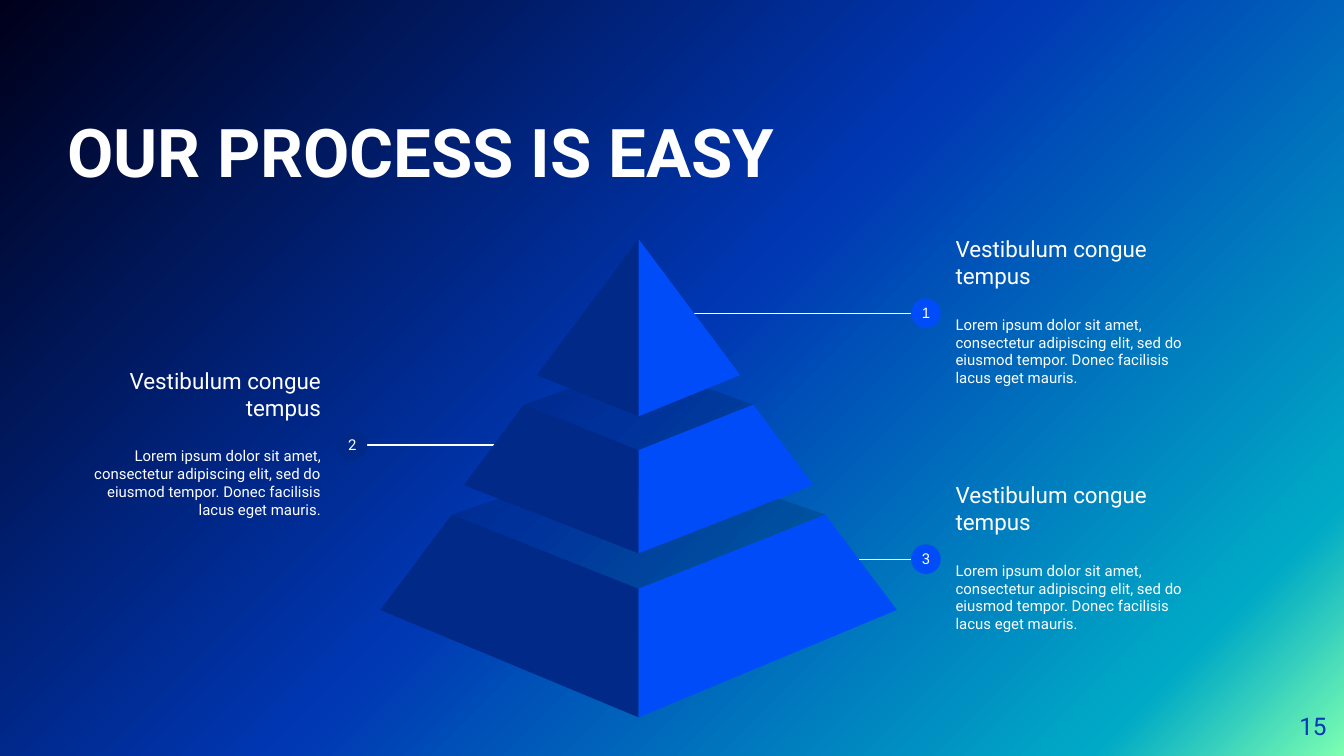
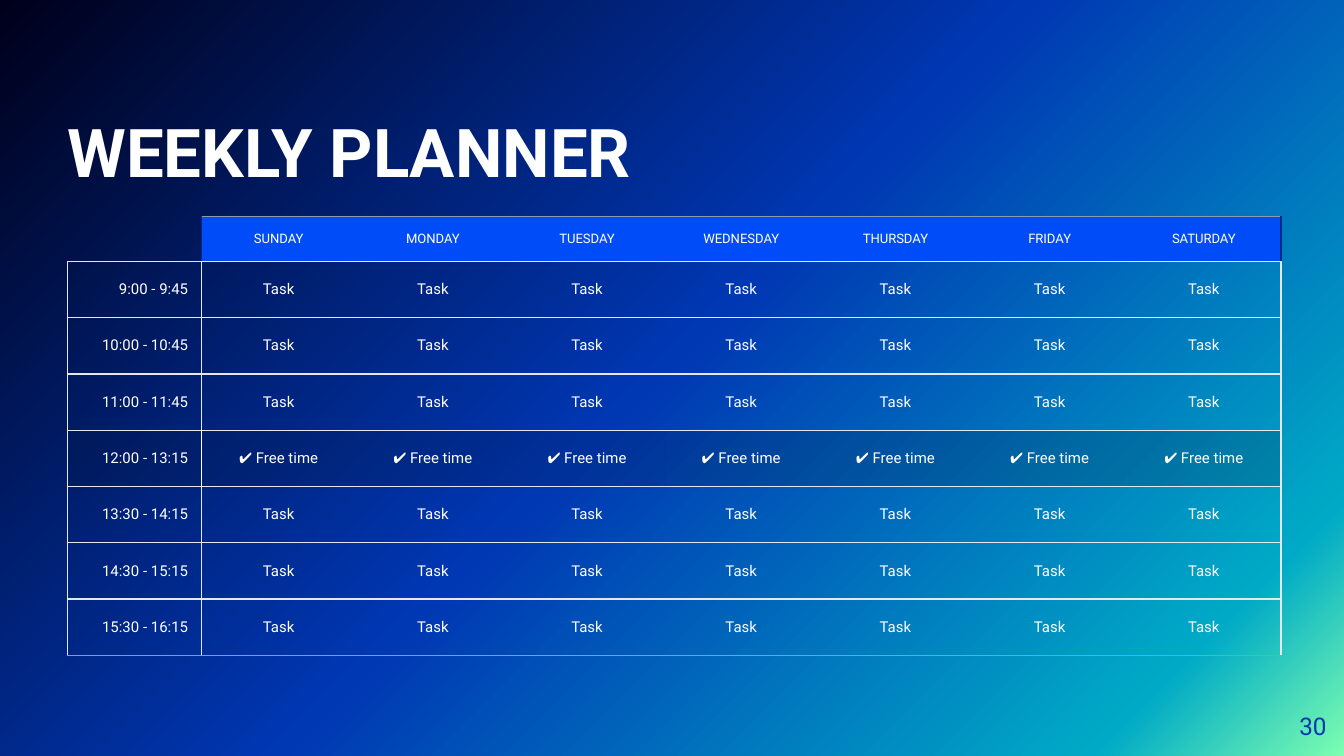
from lxml import etree
from pptx import Presentation
from pptx.dml.color import RGBColor
from pptx.enum.shapes import MSO_CONNECTOR, MSO_SHAPE
from pptx.enum.text import MSO_ANCHOR, MSO_AUTO_SIZE, PP_ALIGN
from pptx.oxml.ns import qn
from pptx.util import Cm, Pt

LEFT, CENTER, RIGHT = PP_ALIGN.LEFT, PP_ALIGN.CENTER, PP_ALIGN.RIGHT
TOP, MIDDLE, BOTTOM = MSO_ANCHOR.TOP, MSO_ANCHOR.MIDDLE, MSO_ANCHOR.BOTTOM
STRAIGHT, OVAL = MSO_CONNECTOR.STRAIGHT, MSO_SHAPE.OVAL

WHITE = RGBColor(0xFF, 0xFF, 0xFF)
PALE = RGBColor(0xE4, 0xE7, 0xEC)
GREY = RGBColor(0x91, 0x99, 0xAA)
BRIGHT = RGBColor(0x00, 0x4C, 0xF8)
ROYAL = RGBColor(0x00, 0x37, 0xB3)
NAVY = RGBColor(0x00, 0x29, 0x88)
INK = RGBColor(0x00, 0x12, 0x30)
MINT = RGBColor(0x7D, 0xFF, 0xB1)
TEAL = RGBColor(0x00, 0xAA, 0xC6)
NIGHT = RGBColor(0x00, 0x00, 0x1A)
BACKDROP = [(0, MINT), (12, TEAL), (51, ROYAL), (100, NIGHT)]
BACKDROP_ANGLE = 225
FONT = "Roboto"
INSET = 0.25
LINE_WIDTH = Pt(0.75)

# Process slide, lengths in cm
STEP_TITLE = "Vestibulum congue tempus"
STEP_TEXT = ("Lorem ipsum dolor sit amet, consectetur adipiscing elit, "
             "sed do eiusmod tempor. Donec facilisis lacus eget mauris.")
STEPS = [
    {"number": "3", "text_left": 17.81, "text_top": 8.61, "align": LEFT, "dot_left": 17.22,
     "line": (16.13, 17.75), "color": BRIGHT, "font": FONT},
    {"number": "2", "text_left": 1.14, "text_top": 6.45, "align": RIGHT, "dot_left": 6.38,
     "line": (9.45, 6.55), "color": NAVY, "font": FONT},
    {"number": "1", "text_left": 17.81, "text_top": 3.96, "align": LEFT, "dot_left": 17.22,
     "line": (13.0, 17.75), "color": BRIGHT, "font": "Arial"},
]
TEXT_WIDTH, TEXT_HEIGHT = 5.18, 3.84
LINE_DROP = 1.96
DOT = 0.56
NUMBER_WIDTH, NUMBER_HEIGHT = 0.69, 0.86

# Each face runs from its shoulder to its front edge, as (distance from axis, y)
AXIS = 12.07
TIERS = [
    {"face": [(3.53, 9.73), (4.88, 11.53), (0, 13.56), (0, 11.13)], "back": 8.51},
    {"face": [(2.17, 7.65), (3.3, 9.17), (0, 10.46), (0, 8.51)], "back": 6.88},
    {"face": [(0, 4.52), (1.92, 7.09), (0, 7.87)], "back": None},
]

# Planner slide
DAYS = ["SUNDAY", "MONDAY", "TUESDAY", "WEDNESDAY", "THURSDAY", "FRIDAY", "SATURDAY"]
PLAN = [
    ("9:00 - 9:45", "Task"),
    ("10:00 - 10:45", "Task"),
    ("11:00 - 11:45", "Task"),
    ("12:00 - 13:15", "✔ Free time"),
    ("13:30 - 14:15", "Task"),
    ("14:30 - 15:15", "Task"),
    ("15:30 - 16:15", "Task"),
]
BREAK_ROW = 4
TABLE_LEFT, TABLE_TOP = 1.27, 4.09
TIME_WIDTH, WEEK_WIDTH = 2.54, 20.4
HEADER_HEIGHT, BODY_HEIGHT = 0.85, 7.45


def write(para, text, size=8, color=WHITE, bold=False, font=FONT, align=LEFT, before=0):
    para.alignment = align
    para.space_before = Pt(before)
    span = para.add_run()
    span.text = text
    span.font.size = Pt(size)
    span.font.name = font
    span.font.bold = bold
    span.font.color.rgb = color


def prepare_frame(frame, anchor=TOP, inset=INSET):
    frame.word_wrap = True
    frame.auto_size = MSO_AUTO_SIZE.NONE
    frame.vertical_anchor = anchor
    frame.margin_left = frame.margin_right = Cm(inset)
    frame.margin_top = frame.margin_bottom = Cm(inset)


def add_text_box(shapes, left, top, width, height, anchor=TOP, inset=INSET):
    box = shapes.add_textbox(Cm(left), Cm(top), Cm(width), Cm(height))
    prepare_frame(box.text_frame, anchor, inset)
    return box.text_frame


def make_translucent(properties):
    """Give the solid fill directly under a properties element its opacity."""
    color = properties.find(qn("a:solidFill"))[0]
    etree.SubElement(color, qn("a:alpha"), val="19000")


def paint(shape, color):
    shape.fill.solid()
    shape.fill.fore_color.rgb = color
    shape.line.fill.background()
    shape.shadow.inherit = False


def set_backdrop(master):
    """Put the shared four-stop gradient on the slide master."""
    master.background.fill.solid()
    properties = master.element.find(".//" + qn("p:bgPr"))
    properties.remove(properties[0])
    gradient = etree.Element(qn("a:gradFill"), rotWithShape="1")
    stops = etree.SubElement(gradient, qn("a:gsLst"))
    for percent, color in BACKDROP:
        stop = etree.SubElement(stops, qn("a:gs"), pos=str(percent * 1000))
        etree.SubElement(stop, qn("a:srgbClr"), val=str(color))
    etree.SubElement(gradient, qn("a:lin"), ang=str(BACKDROP_ANGLE * 60000), scaled="0")
    properties.insert(0, gradient)


def add_page(deck, title, number):
    page = deck.slides.add_slide(deck.slide_layouts[5])
    heading = page.shapes.title
    heading.left, heading.top = Cm(1.27), Cm(1.22)
    heading.width, heading.height = Cm(16.74), Cm(2.39)
    prepare_frame(heading.text_frame, BOTTOM, 0)
    write(heading.text_frame.paragraphs[0], title, size=36, bold=True)
    frame = add_text_box(page.shapes, 23.55, 13.18, 1.52, 1.09, MIDDLE, 0)
    write(frame.paragraphs[0], number, size=13, color=ROYAL, align=RIGHT)
    return page


def add_step(page, step):
    shapes = page.shapes.add_group_shape().shapes
    line_y = step["text_top"] + LINE_DROP
    start, end = step["line"]
    line = shapes.add_connector(STRAIGHT, Cm(start), Cm(line_y), Cm(end), Cm(line_y))
    line.line.color.rgb = WHITE
    line.line.width = LINE_WIDTH
    etree.SubElement(line.element.spPr, qn("a:effectLst"))

    frame = add_text_box(shapes, step["text_left"], step["text_top"],
                         TEXT_WIDTH, TEXT_HEIGHT, MIDDLE)
    write(frame.paragraphs[0], STEP_TITLE, size=12, align=step["align"])
    write(frame.add_paragraph(), STEP_TEXT, align=step["align"], before=14)

    dot_left, dot_top = step["dot_left"], line_y - DOT / 2
    dot = shapes.add_shape(OVAL, Cm(dot_left), Cm(dot_top), Cm(DOT), Cm(DOT))
    paint(dot, step["color"])
    frame = add_text_box(shapes, dot_left + (DOT - NUMBER_WIDTH) / 2,
                         line_y - NUMBER_HEIGHT / 2, NUMBER_WIDTH, NUMBER_HEIGHT)
    write(frame.paragraphs[0], step["number"], font=step["font"], align=CENTER)


def add_polygon(shapes, points, color):
    """Draw a closed outline from (signed distance from axis, y) points."""
    corners = [(Cm(AXIS + x), Cm(y)) for x, y in points]
    builder = shapes.build_freeform(*corners[0])
    builder.add_line_segments(corners[1:], close=True)
    polygon = builder.convert_to_shape()
    paint(polygon, color)
    return polygon


def add_pyramid(page):
    shapes = page.shapes.add_group_shape().shapes
    for tier in TIERS:
        face = tier["face"]
        if tier["back"] is not None:
            x, y = face[0]
            lid = add_polygon(shapes, [(-x, y), face[-1], (x, y), (0, tier["back"])], INK)
            make_translucent(lid.element.spPr)
        for side, color in ((-1, NAVY), (1, BRIGHT)):
            add_polygon(shapes, [(side * x, y) for x, y in face], color)


def vertical_rule(row, edge):
    """Colour of the rule at a column edge, or None."""
    if edge not in (0, 1, len(DAYS) + 1):
        return None
    if row == 0:
        return NAVY if edge else None
    return WHITE if (row, edge) == (BREAK_ROW, 1) else PALE


def horizontal_rule(edge, column):
    """Colour of the rule at a row edge, or None."""
    if edge == 0:
        return GREY if column else None
    return GREY if edge == len(PLAN) + 1 else PALE


def set_borders(cell, row, column):
    properties = cell._tc.get_or_add_tcPr()
    rules = {
        "a:lnL": vertical_rule(row, column),
        "a:lnR": vertical_rule(row, column + 1),
        "a:lnT": horizontal_rule(row, column),
        "a:lnB": horizontal_rule(row + 1, column),
    }
    for tag, color in rules.items():
        line = etree.SubElement(properties, qn(tag), w=str(int(LINE_WIDTH)))
        if color is None:
            etree.SubElement(line, qn("a:noFill"))
        else:
            fill = etree.SubElement(line, qn("a:solidFill"))
            etree.SubElement(fill, qn("a:srgbClr"), val=str(color))


def fill_cell(cell, row, column):
    if row == 0 and column:
        cell.fill.solid()
        cell.fill.fore_color.rgb = BRIGHT
    elif row == BREAK_ROW:
        cell.fill.solid()
        cell.fill.fore_color.rgb = INK
        make_translucent(cell._tc.tcPr)
    else:
        cell.fill.background()


def add_planner(page):
    content = [[""] + DAYS] + [[time] + [entry] * len(DAYS) for time, entry in PLAN]
    table = page.shapes.add_table(
        len(content), len(content[0]), Cm(TABLE_LEFT), Cm(TABLE_TOP),
        Cm(TIME_WIDTH + WEEK_WIDTH), Cm(HEADER_HEIGHT + BODY_HEIGHT)).table
    table.first_row = table.horz_banding = False
    for index, column in enumerate(table.columns):
        column.width = Cm(WEEK_WIDTH / len(DAYS) if index else TIME_WIDTH)
    for index, row in enumerate(table.rows):
        row.height = Cm(BODY_HEIGHT / len(PLAN) if index else HEADER_HEIGHT)

    for r, texts in enumerate(content):
        for c, text in enumerate(texts):
            cell = table.cell(r, c)
            cell.vertical_anchor = MIDDLE
            cell.margin_left = cell.margin_right = Cm(INSET)
            cell.margin_top = cell.margin_bottom = Cm(INSET)
            set_borders(cell, r, c)
            fill_cell(cell, r, c)
            para = cell.text_frame.paragraphs[0]
            if text:
                write(para, text, size=8 if r else 7, align=CENTER if c else RIGHT)
            else:
                etree.SubElement(para._p, qn("a:endParaRPr"), sz="700")


def main():
    deck = Presentation()
    deck.slide_width, deck.slide_height = Cm(25.4), Cm(14.29)
    set_backdrop(deck.slide_master)

    process = add_page(deck, "OUR PROCESS IS EASY", "15")
    for step in STEPS:
        add_step(process, step)
    add_pyramid(process)

    add_planner(add_page(deck, "WEEKLY PLANNER", "30"))
    deck.save("out.pptx")


if __name__ == "__main__":
    main()
